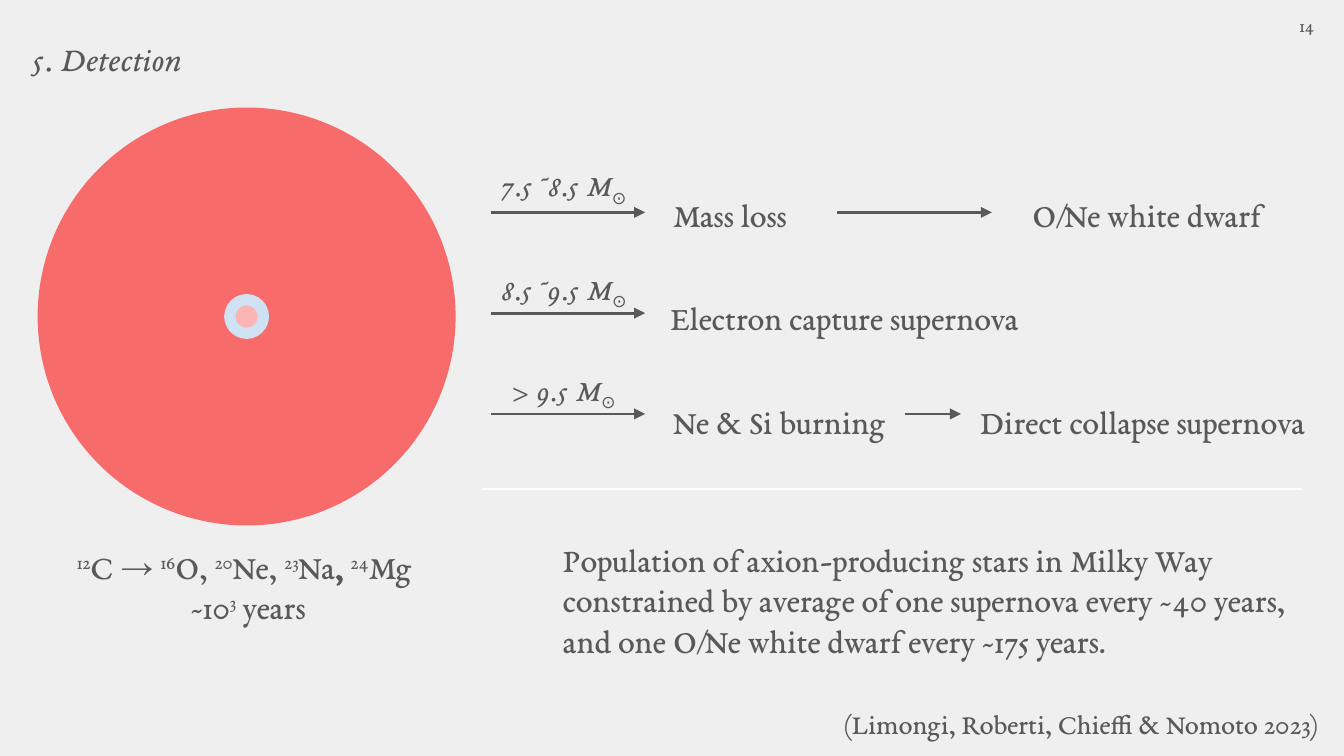
from dataclasses import dataclass

from lxml.etree import SubElement
from pptx import Presentation
from pptx.dml.color import RGBColor
from pptx.enum.shapes import MSO_CONNECTOR, MSO_SHAPE
from pptx.enum.text import MSO_ANCHOR, PP_ALIGN
from pptx.oxml.ns import qn
from pptx.shapes.autoshape import Shape
from pptx.slide import Slide
from pptx.util import Inches, Pt

BACKGROUND = RGBColor(0xEF, 0xEF, 0xEF)
INK = RGBColor(0x59, 0x59, 0x59)
WHITE = RGBColor(0xFF, 0xFF, 0xFF)
STAR_RED = RGBColor(0xFF, 0x00, 0x00)
SHELL_BLUE = RGBColor(0xCF, 0xE2, 0xF3)
FONT_NAME = "EB Garamond"
ARROW_LEFT, ARROW_LENGTH = 3.65, 1.15
DEEP_INSET = 0.23


@dataclass(frozen=True)
class Piece:
    text: str
    baseline: int = 0
    bold: bool = False


@dataclass(frozen=True)
class Label:
    left: float
    top: float
    width: float
    height: float
    lines: tuple[tuple[Piece, ...], ...]
    size: int = 18
    align: PP_ALIGN = PP_ALIGN.LEFT
    italic: bool = False
    inset: float = 0.1
    anchor: MSO_ANCHOR = MSO_ANCHOR.TOP


@dataclass(frozen=True)
class Outcome:
    text: str
    left: float
    width: float
    align: PP_ALIGN = PP_ALIGN.LEFT


@dataclass(frozen=True)
class Channel:
    mass: str
    mass_top: float
    arrow_top: float
    outcome_top: float
    outcomes: tuple[Outcome, ...]
    second_arrow: tuple[float, float] | None = None


def plain(text: str) -> tuple[tuple[Piece, ...], ...]:
    """Wrap a text as one line with one piece."""
    return ((Piece(text),),)


REACTION = (
    Piece("12", 30), Piece("C → "), Piece("16", 30), Piece("O, "),
    Piece("20", 30), Piece("Ne, "), Piece("23", 30), Piece("Na"),
    Piece(", ", bold=True), Piece("24", 30), Piece("Mg "),
)
DURATION = (Piece("~10"), Piece("3", 30), Piece(" years"))

LABELS = (
    Label(9.28, -0.03, 0.6, 0.43, plain("14"), 10, PP_ALIGN.RIGHT, anchor=MSO_ANCHOR.MIDDLE),
    Label(5.38, 5.16, 4.53, 0.58, plain("(Limongi, Roberti, Chieffi & Nomoto 2023)"),
          15, PP_ALIGN.RIGHT),
    Label(0.14, 0.18, 4.53, 0.58, plain("5. Detection"), italic=True),
    Label(0.19, 3.94, 3.31, 0.35, (REACTION, DURATION), align=PP_ALIGN.CENTER,
          inset=DEEP_INSET),
    Label(4.09, 3.91, 5.58, 1.37, plain(
        "Population of axion-producing stars in Milky Way constrained by average of one "
        "supernova every ~40 years, and one O/Ne white dwarf every ~175 years.")),
)

CHANNELS = (
    Channel("7.5 ~ 8.5 M", 1.09, 1.58, 1.29, (
        Outcome("Mass loss", 4.91, 1.23),
        Outcome("O/Ne white dwarf", 5.16, 4.32, PP_ALIGN.RIGHT),
    ), (6.23, ARROW_LENGTH)),
    Channel("8.5 ~ 9.5 M", 1.86, 2.33, 2.06, (
        Outcome("Electron capture supernova", 4.89, 3.31),
    )),
    Channel("> 9.5 M", 2.61, 3.08, 2.83, (
        Outcome("Ne & Si burning", 4.91, 2.18),
        Outcome("Direct collapse supernova", 5.76, 4.05, PP_ALIGN.RIGHT),
    ), (6.73, 0.42)),
)


def add_label(slide: Slide, label: Label) -> None:
    """Place a text box with its styled lines."""
    shape = slide.shapes.add_textbox(
        Inches(label.left), Inches(label.top), Inches(label.width), Inches(label.height))
    frame = shape.text_frame
    frame.word_wrap = True
    frame.vertical_anchor = label.anchor
    frame.margin_left = frame.margin_right = Inches(0.1)
    frame.margin_top = frame.margin_bottom = Inches(label.inset)
    for index, line in enumerate(label.lines):
        paragraph = frame.add_paragraph() if index else frame.paragraphs[0]
        paragraph.alignment = label.align
        paragraph.font.name = FONT_NAME
        paragraph.font.size = Pt(label.size)
        paragraph.font.italic = label.italic
        paragraph.font.color.rgb = INK
        for piece in line:
            run = paragraph.add_run()
            run.text = piece.text
            if piece.bold:
                run.font.bold = True
            if piece.baseline:
                run._r.get_or_add_rPr().set("baseline", str(piece.baseline * 1000))


def add_line(slide: Slide, left: float, top: float, length: float,
             color: RGBColor = INK, width: float = 1.5, arrow: bool = True) -> None:
    """Draw a horizontal line, with an arrowhead at its right end if wanted."""
    connector = slide.shapes.add_connector(
        MSO_CONNECTOR.STRAIGHT, Inches(left), Inches(top), Inches(left + length), Inches(top))
    connector.line.color.rgb = color
    connector.line.width = Pt(width)
    if arrow:
        SubElement(connector.line._get_or_add_ln(), qn("a:tailEnd"), type="triangle")
    SubElement(connector._element.spPr, qn("a:effectLst"))


def add_disc(slide: Slide, left: float, top: float, diameter: float,
             color: RGBColor, opacity: int) -> Shape:
    """Draw a translucent circle without an outline."""
    disc = slide.shapes.add_shape(
        MSO_SHAPE.OVAL, Inches(left), Inches(top), Inches(diameter), Inches(diameter))
    disc.shadow.inherit = False
    disc.fill.solid()
    disc.fill.fore_color.rgb = color
    color_element = disc._element.spPr.find(qn("a:solidFill"))[0]
    SubElement(color_element, qn("a:alpha"), val=str(opacity * 1000))
    disc.line.fill.background()
    return disc


def add_channel(slide: Slide, channel: Channel) -> None:
    """Draw a mass range, its arrows and its outcomes."""
    mass = ((Piece(channel.mass), Piece("⊙", -25)),)
    add_label(slide, Label(3.4, channel.mass_top, 1.59, 0.35, mass, 16,
                           PP_ALIGN.CENTER, italic=True, inset=DEEP_INSET))
    add_line(slide, ARROW_LEFT, channel.arrow_top, ARROW_LENGTH)
    if channel.second_arrow:
        left, length = channel.second_arrow
        add_line(slide, left, channel.arrow_top, length)
    for outcome in channel.outcomes:
        add_label(slide, Label(outcome.left, channel.outcome_top, outcome.width, 0.35,
                               plain(outcome.text), align=outcome.align, inset=DEEP_INSET))


def main() -> None:
    """Build the slide and save it."""
    presentation = Presentation()
    presentation.slide_width = Inches(10)
    presentation.slide_height = Inches(10 * 9 / 16)
    slide = presentation.slides.add_slide(presentation.slide_layouts[6])
    slide.background.fill.solid()
    slide.background.fill.fore_color.rgb = BACKGROUND
    add_disc(slide, 0.28, 0.8, 3.11, STAR_RED, 55)
    core = add_disc(slide, 1.71, 2.23, 0.25, WHITE, 50)
    core.line.color.rgb = SHELL_BLUE
    core.line.width = Pt(6)
    for label in LABELS:
        add_label(slide, label)
    for channel in CHANNELS:
        add_channel(slide, channel)
    add_line(slide, 3.59, 3.64, 6.1, WHITE, 0.75, arrow=False)
    presentation.save("out.pptx")


if __name__ == "__main__":
    main()
